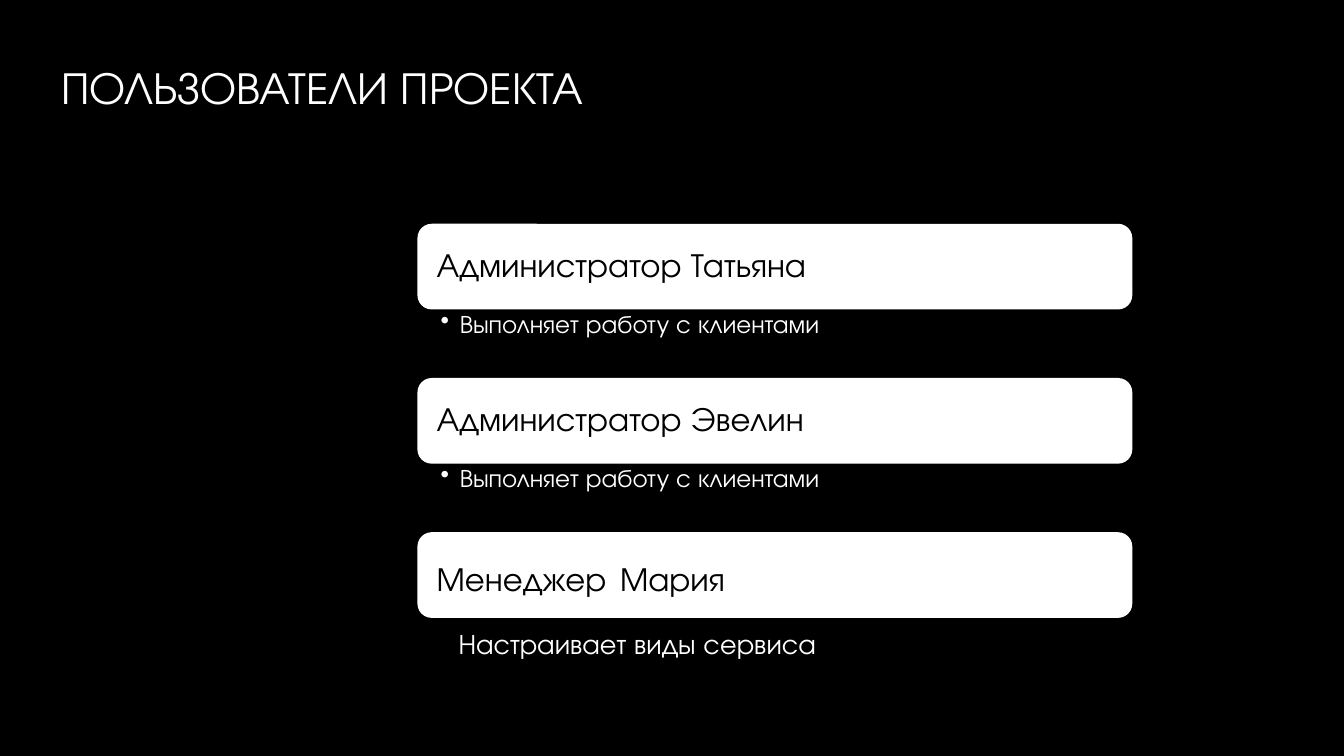
from pptx import Presentation
from pptx.dml.color import RGBColor
from pptx.enum.shapes import MSO_SHAPE
from pptx.enum.text import MSO_ANCHOR, MSO_AUTO_SIZE, PP_ALIGN
from pptx.oxml.ns import qn
from pptx.util import Inches, Pt
from lxml import etree

# Content: each user's card is a list of (text, size) runs
TITLE = "ПОЛЬЗОВАТЕЛИ ПРОЕКТА"
CLIENT_WORK = "Выполняет работу с клиентами"
USERS = [
    ([("Администратор Татьяна", 24)], CLIENT_WORK),
    ([("Администратор Эвелин", 24)], CLIENT_WORK),
    ([("Менеджер", 24), (" ", 36), ("Мария", 24)], None),
]
MANAGER_TASK = "Настраивает виды сервиса"

# Style
FONT = "TeX Gyre Adventor"
BLACK = RGBColor(0x00, 0x00, 0x00)
WHITE = RGBColor(0xFF, 0xFF, 0xFF)
ROUNDED = MSO_SHAPE.ROUNDED_RECTANGLE
TOP, MIDDLE = MSO_ANCHOR.TOP, MSO_ANCHOR.MIDDLE
LEFT = PP_ALIGN.LEFT
NO_AUTOFIT = MSO_AUTO_SIZE.NONE

# Layout, in inches
CARD_LEFT, CARD_TOP, CARD_WIDTH, CARD_HEIGHT = 4.14, 2.22, 7.09, 0.85
CARD_PITCH = 1.53
TASK_OFFSET, TASK_HEIGHT = 0.84, 0.69
BULLET_INDENT = 0.19
PLACEHOLDER_INSETS = (0.13, 0.07, 0.13, 0.07)


def write_text(shape, runs, color, insets, anchor, spacing):
    frame = shape.text_frame
    sides = ("margin_left", "margin_top", "margin_right", "margin_bottom")
    values = {side: Inches(inset) for side, inset in zip(sides, insets)}
    values.update(word_wrap=True, auto_size=NO_AUTOFIT, vertical_anchor=anchor)
    for name, value in values.items():
        setattr(frame, name, value)
    paragraph = frame.paragraphs[0]
    paragraph.alignment = LEFT
    paragraph.line_spacing = spacing
    for text, size in runs:
        run = paragraph.add_run()
        run.text = text
        for name, value in {"name": FONT, "size": Pt(size)}.items():
            setattr(run.font, name, value)
        run.font.color.rgb = color
    return paragraph


def add_bullet(paragraph):
    properties = paragraph._p.get_or_add_pPr()
    properties.set("marL", str(Inches(BULLET_INDENT)))
    properties.set("indent", str(-Inches(BULLET_INDENT)))
    etree.SubElement(properties, qn("a:buChar")).set("char", "•")


def add_text_box(slide, *box):
    return slide.shapes.add_textbox(*map(Inches, box))


def main():
    presentation = Presentation()
    presentation.slide_width = Inches(13.33)
    presentation.slide_height = Inches(7.5)
    slide = presentation.slides.add_slide(presentation.slide_layouts[5])
    slide.background.fill.solid()
    slide.background.fill.fore_color.rgb = BLACK

    # Title
    title = slide.shapes.title
    title.left, title.top, title.width, title.height = map(
        Inches, (0.48, 0.62, 6.85, 1.57))
    write_text(title, [(TITLE, 32.4)], WHITE, PLACEHOLDER_INSETS, TOP, 0.8)

    # User cards with their tasks
    for index, (name_runs, task) in enumerate(USERS):
        top = CARD_TOP + index * CARD_PITCH
        card = slide.shapes.add_shape(ROUNDED, *map(
            Inches, (CARD_LEFT, top, CARD_WIDTH, CARD_HEIGHT)))
        card.shadow.inherit = False
        card.fill.solid()
        card.fill.fore_color.rgb = WHITE
        card.line.fill.background()
        write_text(card, name_runs, BLACK, (0.15, 0.1, 0.15, 0.1), MIDDLE, 0.9)
        if task:
            task_box = add_text_box(
                slide, CARD_LEFT, top + TASK_OFFSET, CARD_WIDTH, TASK_HEIGHT)
            add_bullet(write_text(task_box, [(task, 18)], WHITE,
                                  (0.23, 0.03, 0.14, 0.03), TOP, 0.9))

    # Manager's task
    manager_box = add_text_box(slide, 4.42, 6.03, 5.83, 0.76)
    write_text(manager_box, [(MANAGER_TASK, 20)], WHITE,
               PLACEHOLDER_INSETS, MIDDLE, 0.8)

    presentation.save("out.pptx")


if __name__ == "__main__":
    main()
